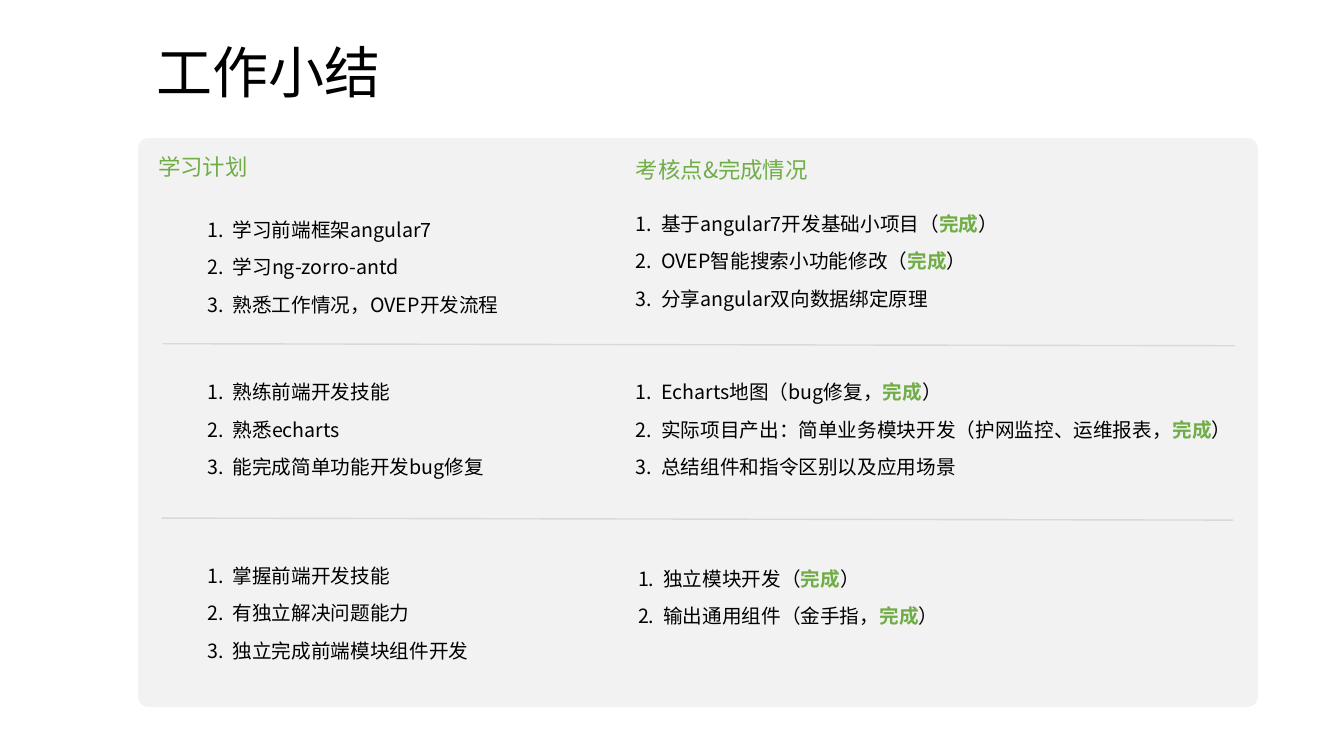
from dataclasses import dataclass

from lxml import etree
from pptx import Presentation
from pptx.dml.color import RGBColor
from pptx.enum.shapes import MSO_CONNECTOR, MSO_SHAPE
from pptx.enum.text import MSO_ANCHOR, PP_ALIGN
from pptx.oxml.ns import qn
from pptx.util import Inches, Pt

STRAIGHT = MSO_CONNECTOR.STRAIGHT
RECTANGLE = MSO_SHAPE.RECTANGLE
TOP, MIDDLE = MSO_ANCHOR.TOP, MSO_ANCHOR.MIDDLE
LEFT = PP_ALIGN.LEFT
TITLE_ONLY = 5


@dataclass(frozen=True)
class Theme:
    font: str = "Noto Sans CJK SC"
    ink: str = "000000"
    accent: str = "70AD47"
    panel: str = "F2F2F2"
    rule: str = "D9D9D9"
    title_size: int = 40
    heading_size: int = 16
    list_size: int = 14
    leading: float = 1.2
    item_gap: int = 10


THEME = Theme()

# Text between double asterisks is a highlighted status.
STUDY_PLANS = [
    ((1.96, 2.11, 3.23, 0.98),
     ["学习前端框架angular7", "学习ng-zorro-antd", "熟悉工作情况，OVEP开发流程"]),
    ((1.96, 3.72, 3.62, 0.98),
     ["熟练前端开发技能", "熟悉echarts", "能完成简单功能开发bug修复"]),
    ((1.96, 5.54, 3.33, 0.98),
     ["掌握前端开发技能", "有独立解决问题能力", "独立完成前端模块组件开发"]),
]
CHECKPOINTS = [
    ((6.21, 2.05, 4.54, 1.1),
     ["基于angular7开发基础小项目（**完成**）",
      "OVEP智能搜索小功能修改（**完成**）",
      "分享angular双向数据绑定原理"]),
    ((6.21, 3.72, 6.16, 1.1),
     ["Echarts地图（bug修复，**完成**）",
      "实际项目产出：简单业务模块开发（护网监控、运维报表，**完成**）",
      "总结组件和指令区别以及应用场景"]),
    ((6.23, 5.57, 3.47, 0.82),
     ["独立模块开发（**完成**）", "输出通用组件（金手指，**完成**）"]),
]
DIVIDERS = [(1.61, 3.41, 12.25, 3.43), (1.6, 5.14, 12.23, 5.16)]


def inches(lengths):
    return [Inches(length) for length in lengths]


def apply_format(target, values):
    for name, value in values.items():
        setattr(target, name, value)


def add_run(paragraph, text, size, color, bold=False):
    run = paragraph.add_run()
    run.text = text
    apply_format(run.font, {"name": THEME.font, "size": Pt(size), "bold": bold})
    run.font.color.rgb = RGBColor.from_string(color)
    east_asian = etree.SubElement(run.font._element, qn("a:ea"))
    east_asian.set("typeface", THEME.font)


def number_paragraph(paragraph):
    """Give the paragraph an automatic number with a hanging indent."""
    properties = paragraph._p.get_or_add_pPr()
    properties.set("marL", str(Inches(0.25)))
    properties.set("indent", str(Inches(-0.25)))
    numbering = etree.SubElement(properties, qn("a:buAutoNum"))
    numbering.set("type", "arabicPeriod")


def add_text_box(slide, box):
    frame = slide.shapes.add_textbox(*inches(box)).text_frame
    frame.word_wrap = True
    return frame


def write_heading(frame, text):
    heading = frame.paragraphs[0]
    apply_format(heading, {"alignment": LEFT,
                           "line_spacing": Pt(THEME.heading_size * THEME.leading)})
    add_run(heading, text, THEME.heading_size, THEME.accent)


def add_numbered_list(slide, box, items):
    frame = add_text_box(slide, box)
    for index, item in enumerate(items):
        paragraph = frame.add_paragraph() if index else frame.paragraphs[0]
        number_paragraph(paragraph)
        apply_format(paragraph, {
            "line_spacing": Pt(THEME.list_size * THEME.leading),
            "space_before": Pt(THEME.item_gap if index else 0),
        })
        for part, text in enumerate(item.split("**")):
            is_status = part % 2 == 1
            color = THEME.accent if is_status else THEME.ink
            add_run(paragraph, text, THEME.list_size, color, is_status)


def set_title(slide, text, box):
    title = slide.shapes.title
    apply_format(title, dict(zip(("left", "top", "width", "height"), inches(box))))
    title.text_frame.vertical_anchor = MIDDLE
    paragraph = title.text_frame.paragraphs[0]
    apply_format(paragraph, {"alignment": LEFT, "line_spacing": 0.9})
    add_run(paragraph, text, THEME.title_size, THEME.ink)


def add_panel(slide, heading, box):
    panel = slide.shapes.add_shape(RECTANGLE, *inches(box))
    panel.shadow.inherit = False
    panel.fill.solid()
    panel.fill.fore_color.rgb = RGBColor.from_string(THEME.panel)
    panel.line.color.rgb = RGBColor.from_string(THEME.panel)
    panel.line.width = Pt(15)
    etree.SubElement(panel.line._get_or_add_ln(), qn("a:round"))
    panel.text_frame.vertical_anchor = TOP
    write_heading(panel.text_frame, heading)


def add_divider(slide, ends):
    divider = slide.shapes.add_connector(STRAIGHT, *inches(ends))
    divider.line.color.rgb = RGBColor.from_string(THEME.rule)
    divider.line.width = Pt(1)
    etree.SubElement(divider._element.spPr, qn("a:effectLst"))


def main():
    presentation = Presentation()
    presentation.slide_width = Inches(13.33)
    presentation.slide_height = Inches(7.5)
    slide = presentation.slides.add_slide(presentation.slide_layouts[TITLE_ONLY])

    set_title(slide, "工作小结", (1.45, 0.02, 11, 1.45))
    add_panel(slide, "学习计划", (1.47, 1.47, 10.9, 5.44))
    write_heading(add_text_box(slide, (6.21, 1.5, 2.14, 0.46)), "考核点&完成情况")
    for box, items in STUDY_PLANS + CHECKPOINTS:
        add_numbered_list(slide, box, items)
    for ends in DIVIDERS:
        add_divider(slide, ends)

    presentation.save("out.pptx")


if __name__ == "__main__":
    main()
